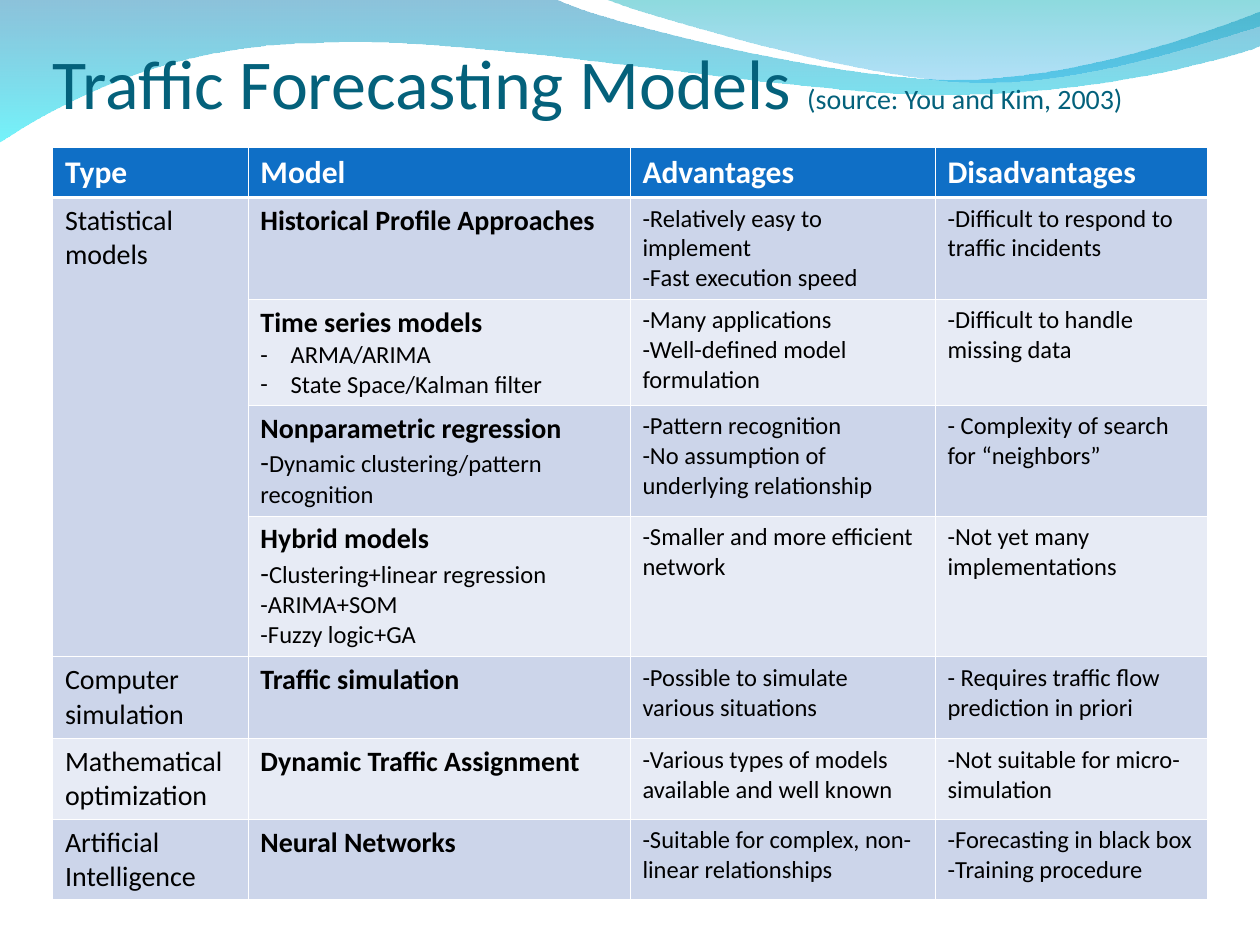
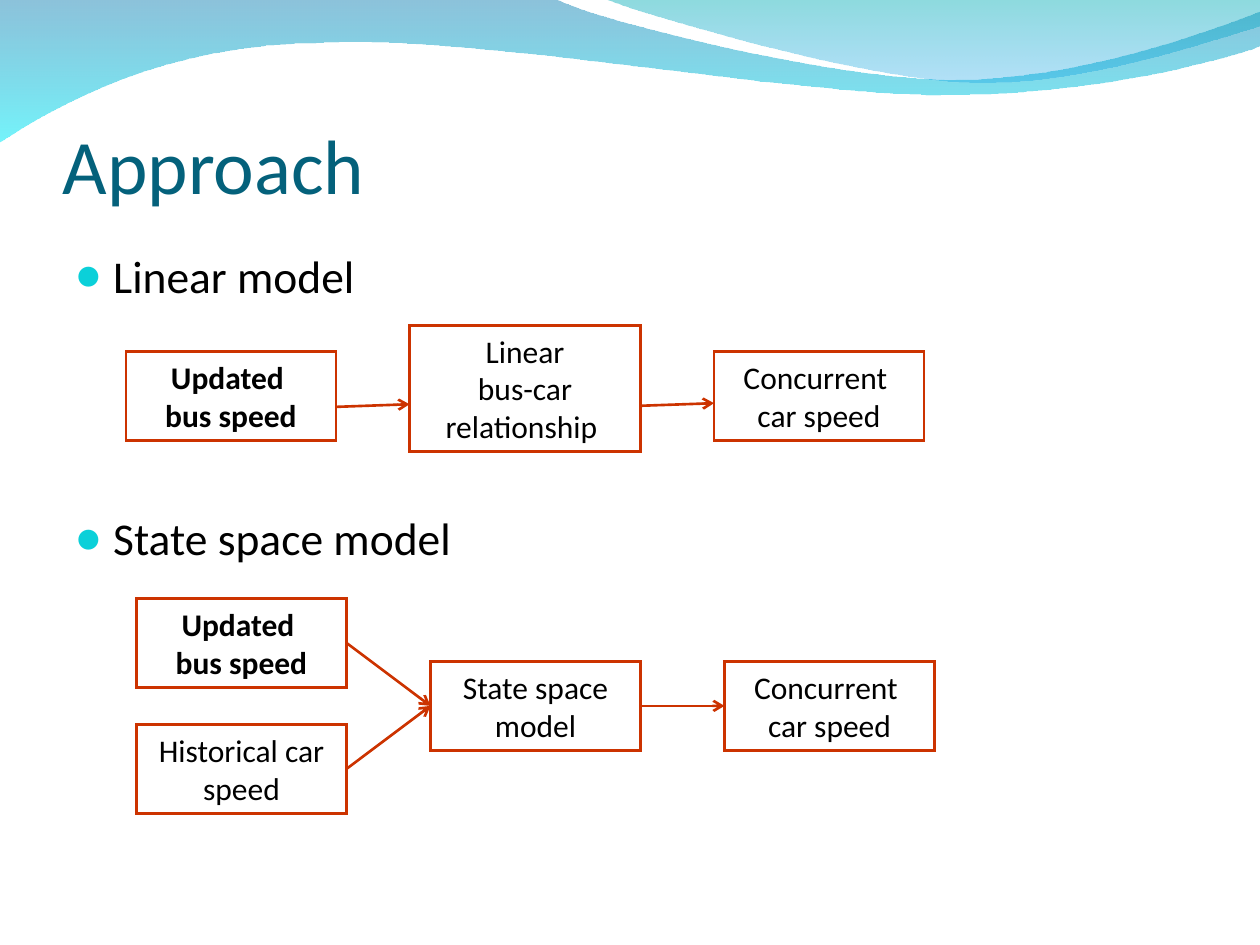
import pptx
import pptx.util
import pptx.dml.color
import pptx.enum.shapes
import pptx.enum.text
import pptx.oxml.ns
from lxml import etree

UNIT = 914400 / 12
WIDE, HIGH = 120, 90
FONT = "Calibri"
BLACK, WHITE, TEAL, RUST, AQUA = "000000", "FFFFFF", "04617B", "CC3300", "0BD0D9"
HEAD, BANDS = "0F6FC6", ("CCD5EA", "E7EBF5")
MID = pptx.enum.text.PP_ALIGN.CENTER

LEFT_WAVE = [
    [(0, -0.01)],
    [(4.4, -0.01)],
    [(4.76, 0.17), (6.64, 0.63), (7.58, 0.63)],
    [(8.53, 0.63), (9.58, 0.26), (10, 0.09)],
    [(10.01, 0.36)],
    [(9.83, 0.44), (8.7, 0.76), (7.46, 0.75)],
    [(6.22, 0.75), (3.82, 0.28), (2.57, 0.34)],
    [(1.29, 0.35), (0.46, 0.83), (-0.01, 1.13)],
]
RIGHT_WAVE = [
    [(4.79, -0.01)],
    [(5.09, 0.11), (6.82, 0.62), (7.69, 0.65)],
    [(8.56, 0.69), (9.61, 0.32), (10, 0.21)],
    [(10, 0)],
]
HEADS = ["Type", "Model", "Advantages", "Disadvantages"]
MODELS = [
    ["Statistical models", ["Historical Profile Approaches"],
     ["-Relatively easy to implement", "-Fast execution speed"],
     ["-Difficult to respond to traffic incidents"]],
    ["", ["Time series models", "•ARMA/ARIMA", "•State Space/Kalman filter"],
     ["-Many applications", "-Well-defined model formulation"],
     ["-Difficult to handle missing data"]],
    ["", ["Nonparametric regression", "-Dynamic clustering/pattern recognition"],
     ["-Pattern recognition", "-No assumption of underlying relationship"],
     ["- Complexity of search for “neighbors”"]],
    ["", ["Hybrid models", "-Clustering+linear regression", "-ARIMA+SOM", "-Fuzzy logic+GA"],
     ["-Smaller and more efficient network"], ["-Not yet many implementations"]],
    ["Computer simulation", ["Traffic simulation"],
     ["-Possible to simulate various situations"],
     ["- Requires traffic flow prediction in priori"]],
    ["Mathematical optimization", ["Dynamic Traffic Assignment"],
     ["-Various types of models available and well known"],
     ["-Not suitable for micro-simulation"]],
    ["Artificial Intelligence", ["Neural Networks"],
     ["-Suitable for complex, non-linear relationships"],
     ["-Forecasting in black box", "-Training procedure"]],
]
COLS = [1.55, 3.03, 2.42, 2.16]
ROWS = [0.4, 0.81, 0.84, 0.88, 1.12, 0.65, 0.64, 0.64]


def grid(*cells):
    return [round(cell * UNIT) for cell in cells]


def tint(code):
    return pptx.dml.color.RGBColor.from_string(code)


def node(parent, tag, **marks):
    child = etree.SubElement(parent, pptx.oxml.ns.qn("a:" + tag))
    for key, value in marks.items():
        child.set(key, str(value))
    return child


def write(frame, words, size=18, hue=BLACK, bold=False, align=None, mark=None,
          mark_hue=BLACK, scale=100, hang=0, gap=0, shift=0, join=False):
    para = frame.paragraphs[-1]
    if para.runs and not join:
        para = frame.add_paragraph()
    if align is not None:
        para.alignment = align
    if gap:
        para.space_before = pptx.util.Pt(gap)
    if hang or shift:
        props = para._p.get_or_add_pPr()
        props.set("marL", str(pptx.util.Inches(hang)))
        props.set("indent", str(pptx.util.Inches(shift - hang)))
    if mark:
        node(node(props, "buClr"), "srgbClr", val=mark_hue)
        node(props, "buSzPct", val=scale * 1000)
        node(props, "buFont", typeface=FONT)
        node(props, "buChar", char=mark)
    run = para.add_run()
    run.text = words
    run.font.name = FONT
    run.font.size = pptx.util.Pt(size)
    run.font.bold = bold
    run.font.color.rgb = tint(hue)


def wave(slide, parts, stops):
    parts = [[grid(x * WIDE / 10, y * WIDE / 10) for x, y in part] for part in parts]
    ends = [part[-1] for part in parts]
    pen = slide.shapes.build_freeform(*ends[0])
    pen.add_line_segments(ends[1:], close=True)
    shape = pen.convert_to_shape()
    left, top = shape.left, shape.top
    lines = list(shape.element.spPr.iter(pptx.oxml.ns.qn("a:lnTo")))
    for line, part in zip(lines, parts[1:]):
        if len(part) == 3:
            curve = node(line.getparent(), "cubicBezTo")
            for x, y in part:
                node(curve, "pt", x=x - left, y=y - top)
            line.getparent().replace(line, curve)
    shape.shadow.inherit = False
    shape.line.fill.background()
    shape.fill.gradient()
    shape.fill.gradient_angle = 270
    for stop, place, (code, alpha) in zip(shape.fill.gradient_stops, (0, 1), stops):
        stop.position = place
        stop.color.rgb = tint(code)
    colors = shape.element.spPr.iter(pptx.oxml.ns.qn("a:srgbClr"))
    for color, (code, alpha) in zip(list(colors), stops):
        node(color, "alpha", val=alpha * 1000)


def label(slide, box, base=False):
    frame = slide.shapes.add_textbox(*grid(*box)).text_frame
    frame.word_wrap = True
    if base:
        frame.margin_left = frame.margin_right = frame.margin_bottom = 0
        frame.vertical_anchor = pptx.enum.text.MSO_ANCHOR.BOTTOM
    return frame


def start(deck, box, title, size):
    slide = deck.slides.add_slide(deck.slide_layouts[6])
    wave(slide, LEFT_WAVE, [("0079AF", 45), ("00EBF8", 55)])
    wave(slide, RIGHT_WAVE, [("00ADB6", 45), ("009BE5", 30)])
    frame = label(slide, box, base=True)
    write(frame, title, size=size, hue=TEAL)
    return slide, frame


def dress(cell, row):
    props = cell._tc.get_or_add_tcPr()
    for side in "LRTB":
        thick = (row, side) in ((0, "B"), (1, "T"))
        line = node(props, "ln" + side, w=pptx.util.Pt(1.47 if thick else 0.45))
        node(node(line, "solidFill"), "srgbClr", val=WHITE)
    cell.fill.solid()
    cell.fill.fore_color.rgb = tint(BANDS[(row - 1) % 2] if row else HEAD)


def model(frame, lines):
    write(frame, lines[0], size=16, bold=True)
    for spot, line in enumerate(lines[1:]):
        if line[0] == "•":
            write(frame, line[1:], size=14, mark="-", hang=0.24)
        elif spot == 0:
            write(frame, "-", size=16)
            write(frame, line[1:], size=14, join=True)
        else:
            write(frame, line, size=14)


def table(slide, box):
    left, top, width, height = grid(*box)
    chart = slide.shapes.add_table(len(ROWS), len(COLS), left, top, width, height).table
    chart.first_row = chart.horz_banding = False
    for column, share in zip(chart.columns, COLS):
        column.width = round(width * share / sum(COLS))
    for line, share in zip(chart.rows, ROWS):
        line.height = round(height * share / sum(ROWS))
    for row in range(len(ROWS)):
        for col in range(len(COLS)):
            cell = chart.cell(row, col)
            dress(cell, row)
            frame = cell.text_frame
            if row == 0:
                write(frame, HEADS[col], hue=WHITE, bold=True)
                continue
            words = MODELS[row - 1][col]
            if col == 0:
                if words:
                    write(frame, words, size=16)
            elif col == 1:
                model(frame, words)
            else:
                for line in words:
                    write(frame, line, size=14)
    chart.cell(1, 0).merge(chart.cell(4, 0))


def block(slide, box, lines, bold=False, shift=0):
    kind = pptx.enum.shapes.MSO_SHAPE.RECTANGLE
    shape = slide.shapes.add_shape(kind, *grid(*box))
    shape.shadow.inherit = False
    shape.fill.background()
    shape.line.color.rgb = tint(RUST)
    shape.line.width = pptx.util.Pt(1.5)
    node(shape.element.spPr.find(pptx.oxml.ns.qn("a:ln")), "miter", lim=800000)
    frame = shape.text_frame
    frame.word_wrap = True
    frame.auto_size = pptx.enum.text.MSO_AUTO_SIZE.SHAPE_TO_FIT_TEXT
    frame.vertical_anchor = pptx.enum.text.MSO_ANCHOR.TOP
    for spot, line in enumerate(lines):
        write(frame, line, bold=bold, align=MID, shift=0 if spot else shift)
    return shape


def arrow(slide, ends=(0, 0, 0, 0), link=None):
    kind = pptx.enum.shapes.MSO_CONNECTOR.STRAIGHT
    line = slide.shapes.add_connector(kind, *grid(*ends))
    if link:
        line.begin_connect(link[0], 3)
        line.end_connect(link[1], 1)
    line.line.color.rgb = tint(RUST)
    line.line.width = pptx.util.Pt(1.5)
    props = line.element.spPr
    node(props.find(pptx.oxml.ns.qn("a:ln")), "tailEnd", type="arrow")
    node(props, "effectLst")


BUS = ["Updated ", "bus speed"]
CAR = ["Concurrent ", "car speed"]
SIZE = (20, 8.46)


def linear(slide, x, y):
    block(slide, (x, y + 2.5, *SIZE), BUS, bold=True)
    block(slide, (x + 27, y, 22, 12), ["Linear", "bus-car relationship "])
    block(slide, (x + 56, y + 2.5, *SIZE), CAR, shift=-0.06)
    arrow(slide, (x + 20, y + 7.75, x + 27, y + 7.5))
    arrow(slide, (x + 49, y + 7.65, x + 56, y + 7.4))


def state(slide, x, y):
    bus = block(slide, (x, y, *SIZE), BUS, bold=True)
    past = block(slide, (x, y + 12, *SIZE), ["Historical car speed"])
    space = block(slide, (x + 28, y + 6, *SIZE), ["State space model"])
    car = block(slide, (x + 56, y + 6, *SIZE), CAR, shift=-0.06)
    for link in ((bus, space), (past, space), (space, car)):
        arrow(slide, link=link)


def models(deck):
    slide, frame = start(deck, (5, 4, 108, 7.8), "Traffic Forecasting Models ", 40)
    write(frame, "(source: You and Kim, 2003)", size=16, hue=TEAL, join=True)
    table(slide, (5, 14, 110, 71.7))


def method(deck):
    slide, frame = start(deck, (6, 9.2, 108, 10.8), "Approach", 44)
    body = label(slide, (6, 23, 108, 60))
    for words, gap in (("Linear model", 0), ("State space model", 119)):
        write(body, words, size=26, mark="●", mark_hue=AQUA, scale=95, hang=0.3, gap=gap)
    linear(slide, 12, 31)
    state(slide, 13, 57)


def main():
    deck = pptx.Presentation()
    deck.slide_width, deck.slide_height = grid(WIDE, HIGH)
    models(deck)
    method(deck)
    deck.save("out.pptx")


if __name__ == "__main__":
    main()
